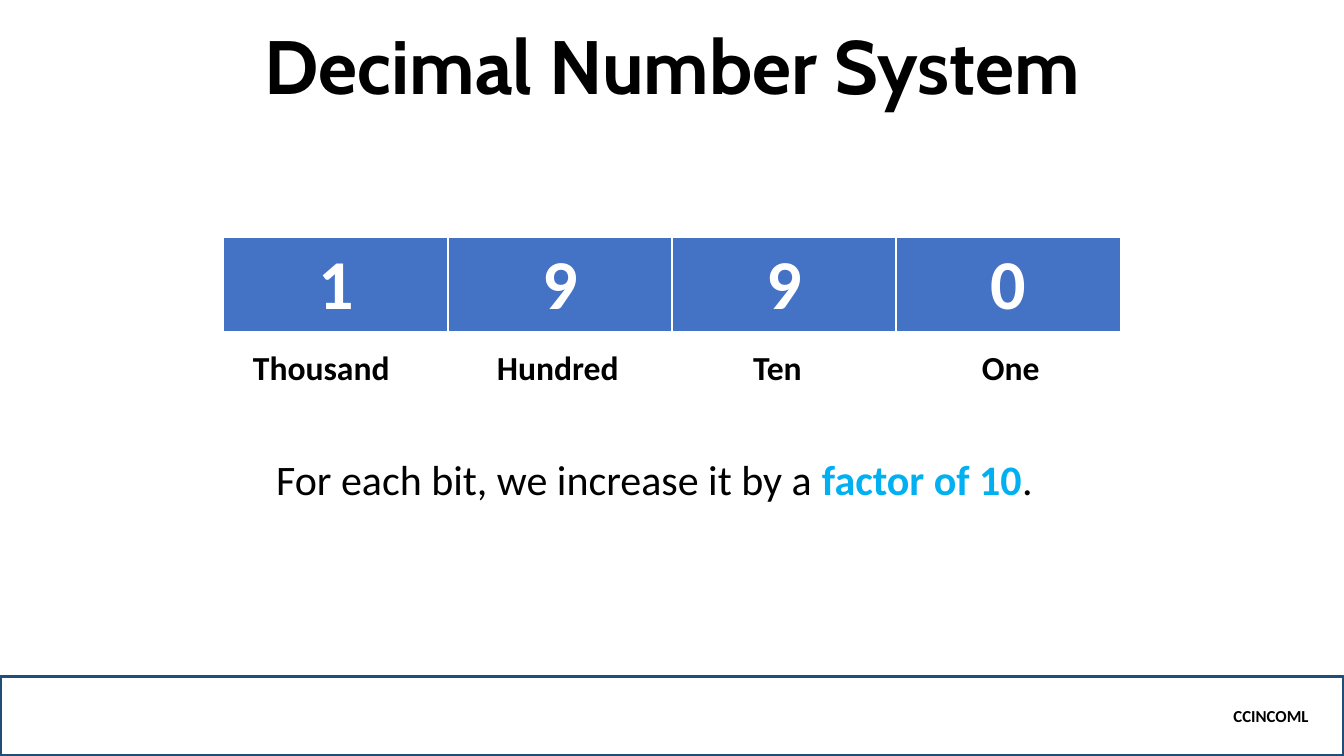
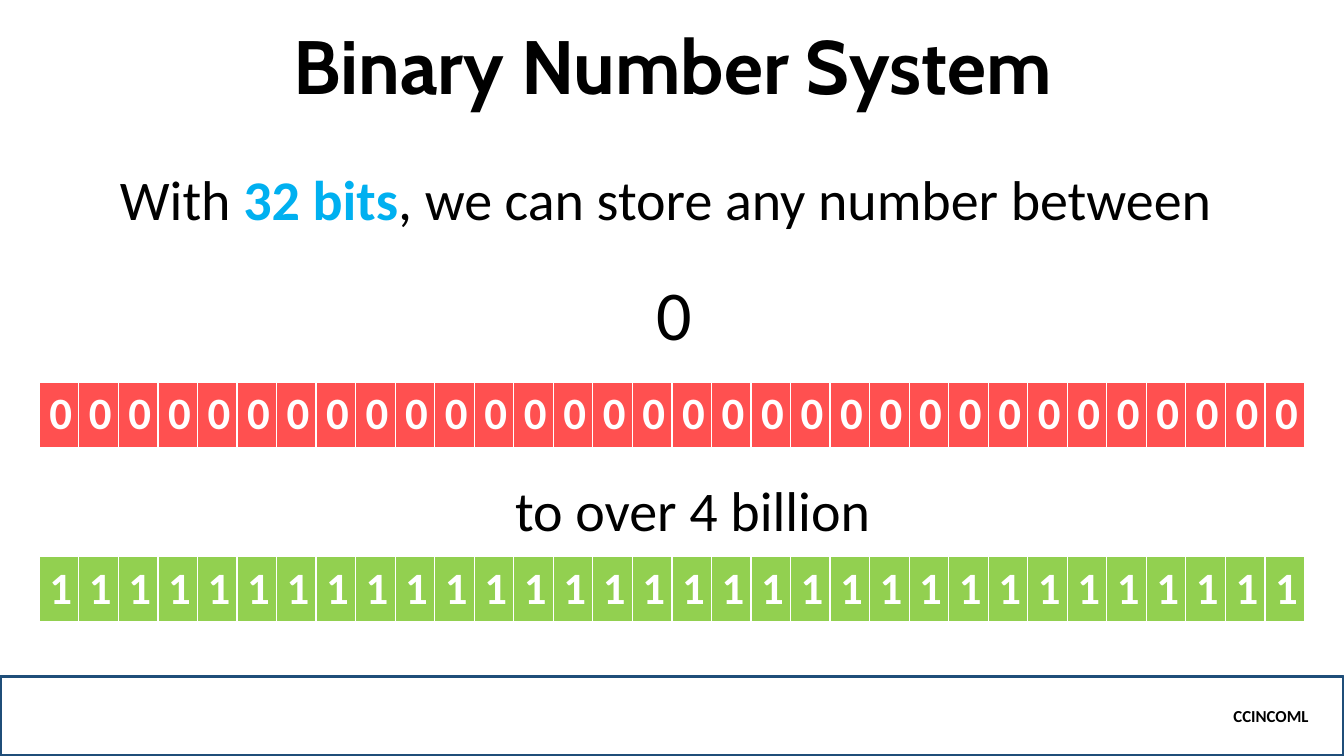
from dataclasses import dataclass

from pptx import Presentation
from pptx.dml.color import RGBColor
from pptx.enum.shapes import MSO_SHAPE
from pptx.enum.text import MSO_ANCHOR, PP_ALIGN
from pptx.util import Inches, Pt

RECTANGLE = MSO_SHAPE.RECTANGLE
TOP, MIDDLE, BOTTOM = MSO_ANCHOR.TOP, MSO_ANCHOR.MIDDLE, MSO_ANCHOR.BOTTOM
LEFT, CENTER, RIGHT = PP_ALIGN.LEFT, PP_ALIGN.CENTER, PP_ALIGN.RIGHT


@dataclass(frozen=True)
class Theme:
    title_font: str = "Cabin"
    body_font: str = "Calibri"
    black: str = "000000"
    white: str = "FFFFFF"
    navy: str = "1F4E79"
    accent: str = "00B0F0"
    blue: str = "4472C4"
    red: str = "FF5050"
    green: str = "92D050"
    title_size: int = 54
    digit_size: int = 50
    statement_size: int = 40
    bit_size: int = 32
    sentence_size: int = 30
    label_size: int = 24
    footer_size: int = 12


THEME = Theme()
SLIDE_WIDTH, SLIDE_HEIGHT = 13.33, 7.5
FOOTER_TOP = 6.71


def write_text(frame, text, *, size, font=THEME.body_font, color=THEME.black,
               bold=False, align=LEFT, line_spacing=None, highlight=None):
    paragraph = frame.paragraphs[0]
    paragraph.alignment = align
    if line_spacing:
        paragraph.line_spacing = line_spacing
    pieces = [(text, color, bold)]
    if highlight:
        before, after = text.split(highlight)
        pieces = [(before, color, bold), (highlight, THEME.accent, True), (after, color, bold)]
    for words, run_color, run_bold in pieces:
        run = paragraph.add_run()
        run.text = words
        run.font.name = font
        run.font.size = Pt(size)
        run.font.bold = run_bold
        run.font.color.rgb = RGBColor.from_string(run_color)


class Deck:
    """Hold the presentation, its style and the current slide."""

    def __init__(self, theme):
        self.theme = theme
        self.presentation = Presentation()
        self.presentation.slide_width = Inches(SLIDE_WIDTH)
        self.presentation.slide_height = Inches(SLIDE_HEIGHT)
        self.slide = None

    def start_slide(self, title):
        self.slide = self.presentation.slides.add_slide(self.presentation.slide_layouts[6])
        self.footer("CCINCOML")
        self.text_box(title, 1.67, 0.21, 10, 0.94, anchor=BOTTOM, align=CENTER,
                      size=self.theme.title_size, font=self.theme.title_font,
                      bold=True, line_spacing=0.9)

    def footer(self, text):
        shape = self.slide.shapes.add_shape(
            RECTANGLE, 0, Inches(FOOTER_TOP),
            Inches(SLIDE_WIDTH), Inches(SLIDE_HEIGHT - FOOTER_TOP))
        shape.shadow.inherit = False
        shape.fill.background()
        shape.line.color.rgb = RGBColor.from_string(self.theme.navy)
        shape.line.width = Pt(2.25)
        frame = shape.text_frame
        frame.vertical_anchor = MIDDLE
        frame.margin_right = Inches(0.35)
        write_text(frame, text, size=self.theme.footer_size, bold=True, align=RIGHT)

    def text_box(self, text, left, top, width, height, *, anchor=TOP, wrap=True, **style):
        shape = self.slide.shapes.add_textbox(
            Inches(left), Inches(top), Inches(width), Inches(height))
        shape.text_frame.word_wrap = wrap
        shape.text_frame.vertical_anchor = anchor
        write_text(shape.text_frame, text, **style)

    def digit_table(self, digits, left, top, width, height, *, fill, size):
        table = self.slide.shapes.add_table(
            1, len(digits), Inches(left), Inches(top), Inches(width), Inches(height)).table
        for cell, digit in zip(table.iter_cells(), digits):
            cell.fill.solid()
            cell.fill.fore_color.rgb = RGBColor.from_string(fill)
            write_text(cell.text_frame, digit, size=size, color=self.theme.white,
                       bold=True, align=CENTER)

    def bit_table(self, bit, top, fill):
        self.digit_table(bit * 32, 0.39, top, 12.56, 0.65, fill=fill, size=self.theme.bit_size)


def build_decimal_slide(deck):
    deck.start_slide("Decimal Number System")
    deck.digit_table("1990", 2.22, 2.36, 8.89, 0.93,
                     fill=THEME.blue, size=THEME.digit_size)
    place_labels = [("Thousand", 2.41, 1.57), ("Hundred", 4.83, 1.42),
                    ("Ten", 7.37, 0.69), ("One", 9.64, 0.78)]
    for label, left, width in place_labels:
        deck.text_box(label, left, 3.39, width, 0.5, wrap=False,
                      size=THEME.label_size, bold=True)
    deck.text_box("For each bit, we increase it by a factor of 10.", 2.64, 4.51, 8.05, 0.64,
                  size=THEME.sentence_size, line_spacing=0.9, highlight="factor of 10")


def build_binary_slide(deck):
    deck.start_slide("Binary Number System")
    deck.text_box("With 32 bits, we can store any number between ", 1.06, 1.66, 11.21, 0.79,
                  size=THEME.statement_size, align=CENTER, line_spacing=0.9,
                  highlight="32 bits")
    deck.text_box("0", 6.41, 2.63, 0.51, 0.94, size=THEME.digit_size)
    deck.bit_table("0", 3.79, THEME.red)
    deck.text_box("to over 4 billion", 5.01, 4.67, 3.82, 0.77, size=THEME.statement_size)
    deck.bit_table("1", 5.52, THEME.green)


def main():
    deck = Deck(THEME)
    build_decimal_slide(deck)
    build_binary_slide(deck)
    deck.presentation.save("out.pptx")


if __name__ == "__main__":
    main()
